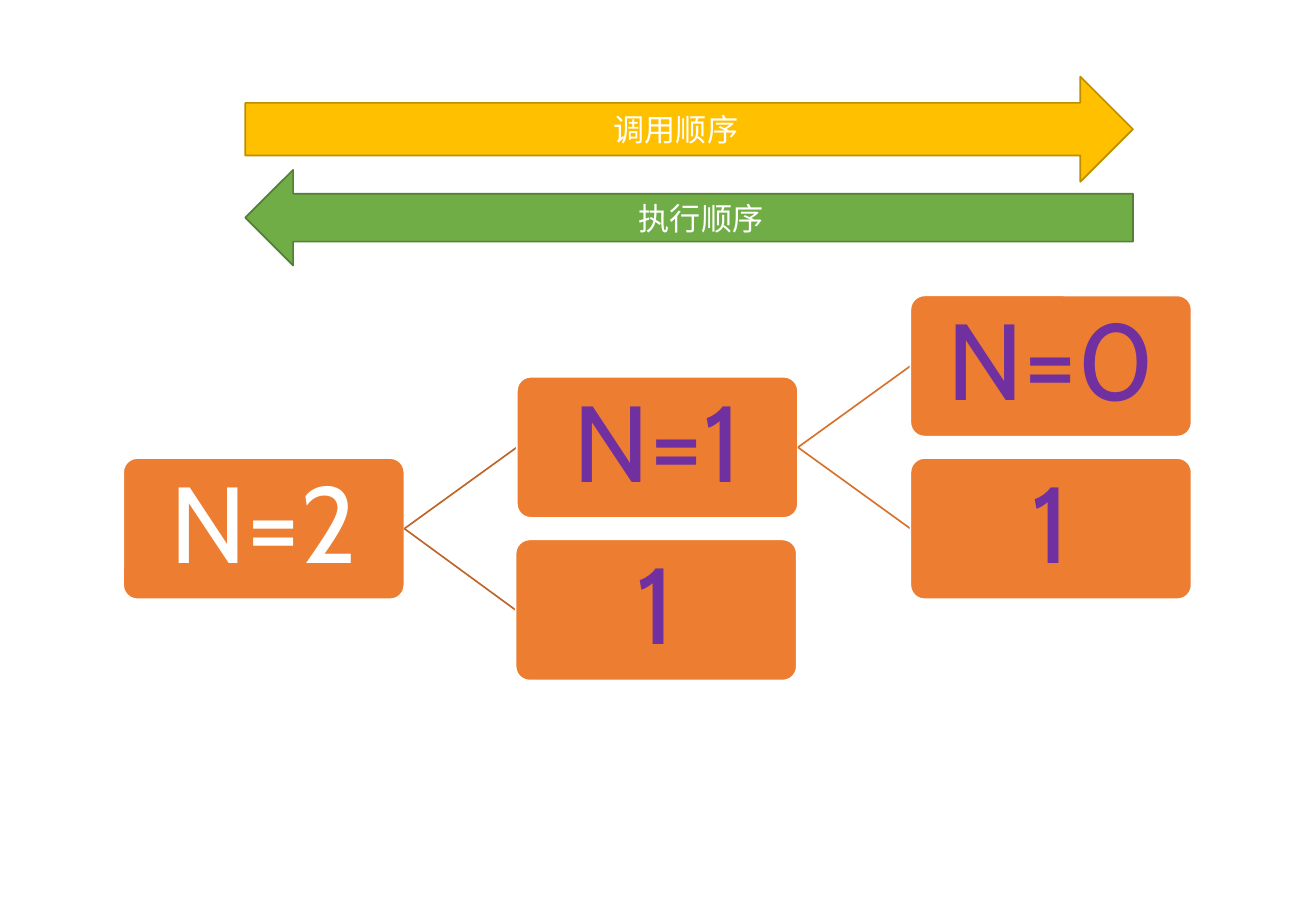
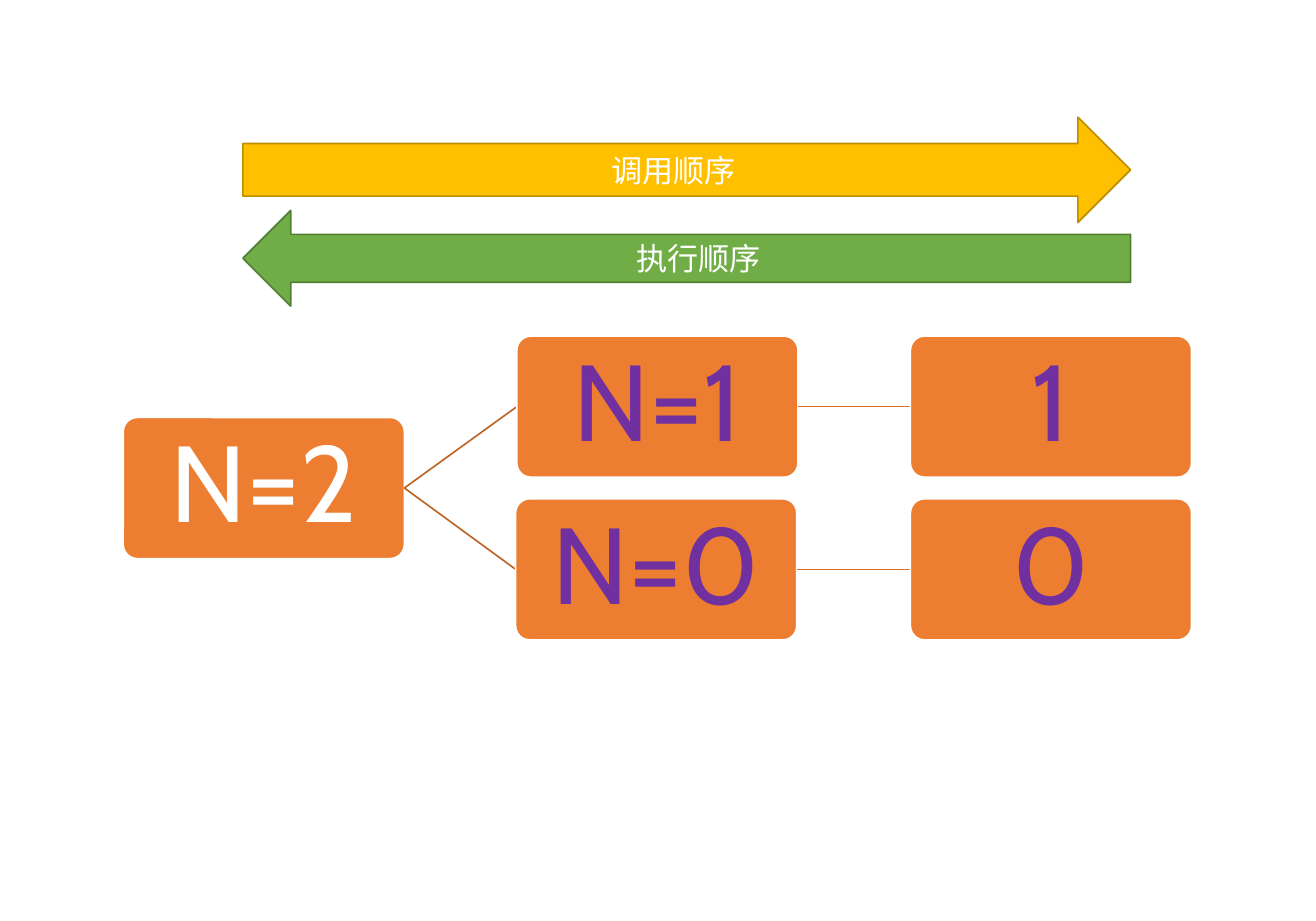
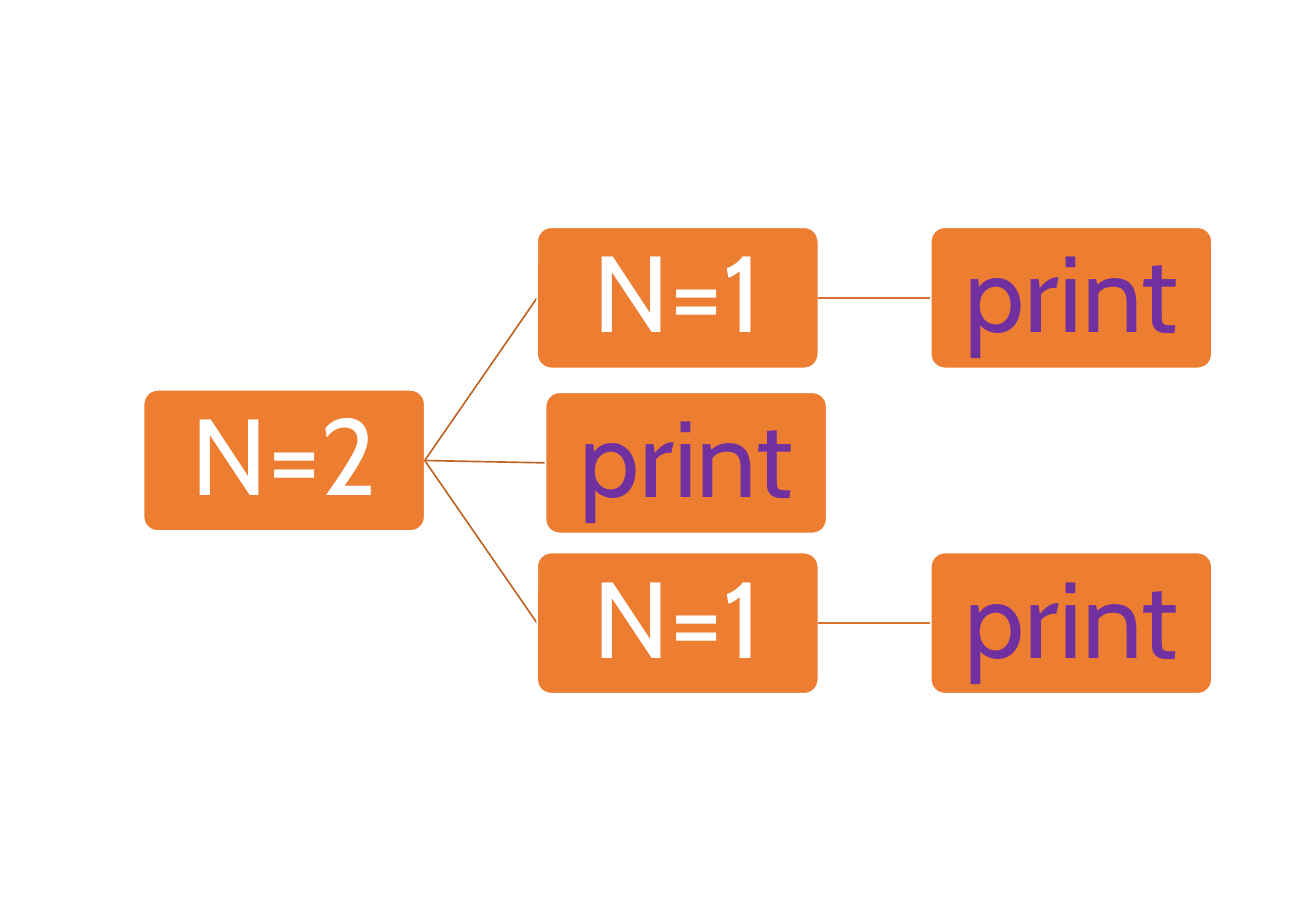
from dataclasses import dataclass

from lxml import etree
from pptx import Presentation
from pptx.dml.color import RGBColor
from pptx.enum.shapes import MSO_CONNECTOR, MSO_SHAPE
from pptx.enum.text import MSO_ANCHOR, PP_ALIGN
from pptx.oxml.ns import qn
from pptx.util import Emu, Pt

PX = 9144
SLIDE_W, SLIDE_H = 1100, 770
BOX_W, BOX_H = 235, 118
COLUMN, HALF_ROW = 329, 68
INSET = 8
ARROW_W, CALL_H, RUN_H, ARROW_STEP = 742, 88, 80, 78
RIGHT_SITE, LEFT_SITE = 3, 1

FONT = "Cabin"
WHITE = RGBColor(0xFF, 0xFF, 0xFF)
ORANGE = RGBColor(0xED, 0x7D, 0x31)
PURPLE = RGBColor(0x70, 0x30, 0xA0)
GOLD = RGBColor(0xFF, 0xC0, 0x00)
DARK_GOLD = RGBColor(0xBD, 0x8E, 0x00)
GREEN = RGBColor(0x70, 0xAD, 0x47)
DARK_GREEN = RGBColor(0x53, 0x80, 0x35)
LINK_COLORS = (RGBColor(0xBE, 0x64, 0x27), RGBColor(0xD7, 0x71, 0x2C))


@dataclass
class Node:
    """A call in the recursion tree, with an optional shift from its grid place."""
    text: str
    color: RGBColor = PURPLE
    children: tuple = ()
    dx: int = 0
    dy: int = 0


def px(n):
    """Turn px into EMU."""
    return Emu(n * PX)


def add_label(slide, kind, box, fill, line, text, size, color):
    """Add a filled preset shape with one centred line of text."""
    s = slide.shapes.add_shape(kind, *map(px, box))
    s.shadow.inherit = False
    s.fill.solid()
    s.fill.fore_color.rgb = fill
    s.line.color.rgb = line
    s.line.width = Pt(1)
    tf = s.text_frame
    tf.vertical_anchor = MSO_ANCHOR.MIDDLE
    p = tf.paragraphs[0]
    p.text = text
    p.alignment = PP_ALIGN.CENTER
    p.font.name = FONT
    p.font.size = Pt(size)
    p.font.color.rgb = color
    return s


def add_link(slide, color):
    """Add a thin straight connector, ready to be attached."""
    c = slide.shapes.add_connector(MSO_CONNECTOR.STRAIGHT, 0, 0, 0, 0)
    c.line.color.rgb = color
    c.line.width = Pt(1)
    etree.SubElement(c._element.spPr, qn("a:effectLst"))
    return c


def add_node(slide, node, left, top):
    """Add the rounded box of one call."""
    box = (left + node.dx, top + node.dy, BOX_W, BOX_H)
    s = add_label(slide, MSO_SHAPE.ROUNDED_RECTANGLE, box, ORANGE, WHITE,
                  node.text, 65, node.color)
    s.adjustments[0] = 0.1
    tf = s.text_frame
    tf.margin_left = tf.margin_right = tf.margin_top = tf.margin_bottom = px(INSET)
    tf.paragraphs[0].line_spacing = 0.9
    return s


def add_tree(slide, node, left, top, level=0):
    """Add a call and, one column right and centred on it, the calls it makes."""
    parent = add_node(slide, node, left, top)
    last = len(node.children) - 1
    for i, child in enumerate(node.children):
        link = add_link(slide, LINK_COLORS[level])
        s = add_tree(slide, child, left + COLUMN,
                     top + (2 * i - last) * HALF_ROW, level + 1)
        link.begin_connect(parent, RIGHT_SITE)
        link.end_connect(s, LEFT_SITE)
    return parent


def add_order_arrows(slide, left, top):
    """Add the arrows for the order of calling and of running."""
    add_label(slide, MSO_SHAPE.RIGHT_ARROW, (left, top, ARROW_W, CALL_H),
              GOLD, DARK_GOLD, "调用顺序", 18.7, WHITE)
    add_label(slide, MSO_SHAPE.LEFT_ARROW, (left, top + ARROW_STEP, ARROW_W, RUN_H),
              GREEN, DARK_GREEN, "执行顺序", 18.7, WHITE)


def add_recursion_slide(prs, root, tree_at, arrows_at=None):
    """Add a slide with a recursion tree and, if placed, the order arrows."""
    slide = prs.slides.add_slide(prs.slide_layouts[6])
    add_tree(slide, root, *tree_at)
    if arrows_at:
        add_order_arrows(slide, *arrows_at)


def main():
    """Build the three recursion slides."""
    prs = Presentation()
    prs.slide_width, prs.slide_height = px(SLIDE_W), px(SLIDE_H)

    factorial = Node("N=2", WHITE, (
        Node("N=1", children=(Node("N=0"), Node("1"))),
        Node("1", dx=-1),
    ))
    fibonacci = Node("N=2", WHITE, (
        Node("N=1", children=(Node("1"),)),
        Node("N=0", children=(Node("0"),), dx=-1),
    ))
    move = Node("N=1", WHITE, (Node("print"),))
    hanoi = Node("N=2", WHITE, (move, Node("print", dx=7, dy=2), move))

    add_recursion_slide(prs, factorial, (103, 383), (205, 64))
    add_recursion_slide(prs, fibonacci, (103, 349), (203, 98))
    add_recursion_slide(prs, hanoi, (120, 326))
    prs.save("out.pptx")


if __name__ == "__main__":
    main()
